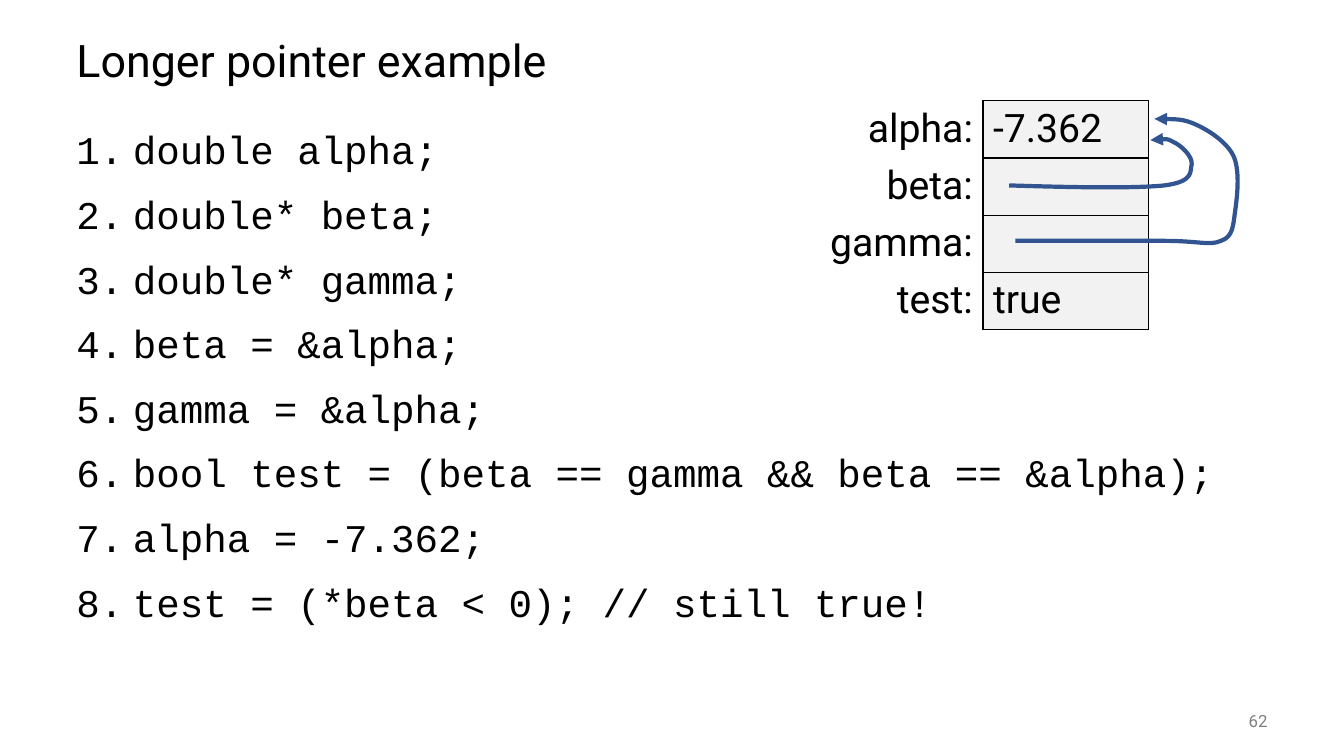
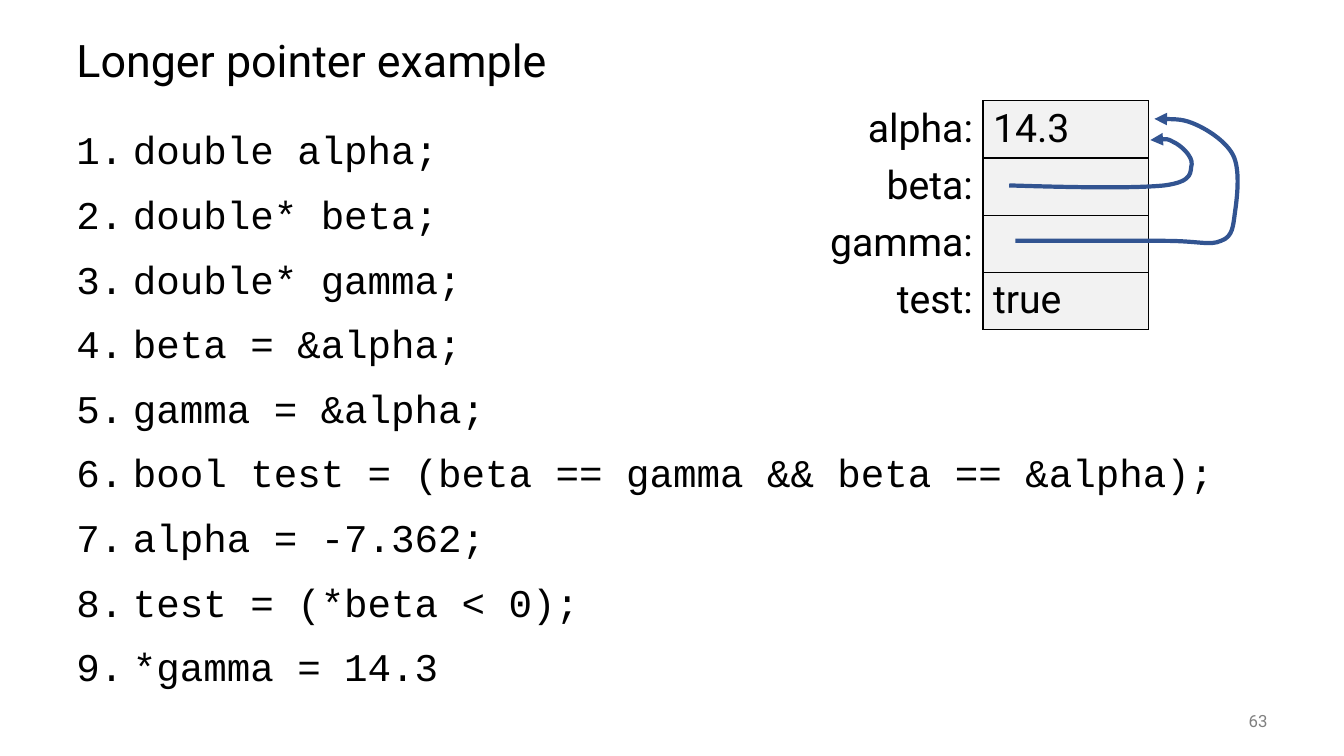
from dataclasses import dataclass

from lxml import etree
from pptx import Presentation
from pptx.dml.color import RGBColor
from pptx.enum.text import MSO_ANCHOR, PP_ALIGN
from pptx.oxml.ns import qn
from pptx.util import Pt

LEFT, RIGHT = PP_ALIGN.LEFT, PP_ALIGN.RIGHT
TOP, MIDDLE = MSO_ANCHOR.TOP, MSO_ANCHOR.MIDDLE
SCALE = 9144

CODE = [
    "double alpha;",
    "double* beta;",
    "double* gamma;",
    "beta = &alpha;",
    "gamma = &alpha;",
    "bool test = (beta == gamma && beta == &alpha);",
    "alpha = -7.362;",
]
PAGES = [
    (62, ["test = (*beta < 0); // still true!"], "-7.362"),
    (63, ["test = (*beta < 0);", "*gamma = 14.3"], "14.3"),
]
BETA = [
    (1001, 184), (1063, 186), (1125, 187), (1155, 184),
    (1185, 180), (1180, 170), (1182, 163),
    (1183, 155), (1171, 144), (1164, 141),
    (1157, 137), (1149, 138), (1141, 139),
]
GAMMA = [
    (1007, 239), (1056, 239), (1106, 239), (1155, 239),
    (1189, 239), (1200, 244), (1211, 239),
    (1223, 235), (1223, 224), (1225, 210),
    (1227, 196), (1230, 171), (1224, 156),
    (1218, 142), (1200, 130), (1187, 124),
    (1174, 118), (1160, 118), (1145, 118),
]


@dataclass(frozen=True)
class Theme:
    """Colours, fonts and type sizes."""
    ink: str = "000000"
    grey: str = "808080"
    cell: str = "F2F2F2"
    arrow: str = "325491"
    sans: str = "Roboto"
    mono: str = "Courier New"
    head: int = 32
    body: int = 28
    foot: int = 12


def px(num):
    """Turn px into EMU."""
    return num * SCALE


def put(item, vals):
    """Set each named value on an object."""
    for name, val in vals.items():
        setattr(item, name, val)


class Deck:
    """Style, presentation and current slide."""

    def __init__(self, theme):
        """Start an empty deck."""
        self.theme = theme
        self.prs = Presentation()
        put(self.prs, {"slide_width": px(1333), "slide_height": px(750)})

    def page(self):
        """Add a blank slide and make it current."""
        self.slide = self.prs.slides.add_slide(self.prs.slide_layouts[6])

    def label(self, para, text, size, font, ink):
        """Add one styled run to a paragraph."""
        run = para.add_run()
        put(run, {"text": text})
        put(run.font, {"size": Pt(size), "name": font})
        run.font.color.rgb = RGBColor.from_string(ink)

    def frame(self, box, anchor):
        """Add a text box and return its frame."""
        frame = self.slide.shapes.add_textbox(*map(px, box)).text_frame
        put(frame, {"word_wrap": True, "vertical_anchor": anchor})
        return frame

    def title(self, text):
        """Set the slide title."""
        para = self.frame((66, 25, 1200, 75), MIDDLE).paragraphs[0]
        put(para, {"line_spacing": 0.9})
        self.label(para, text, self.theme.head, self.theme.sans, self.theme.ink)

    def number(self, num):
        """Set the page number."""
        para = self.frame((1167, 695, 100, 40), MIDDLE).paragraphs[0]
        put(para, {"alignment": RIGHT})
        self.label(para, str(num), self.theme.foot, self.theme.sans, self.theme.grey)

    def code(self, lines):
        """Add numbered lines of code."""
        frame = self.frame((66, 125, 1200, 550), TOP)
        for at, line in enumerate(lines):
            para = frame.add_paragraph() if at else frame.paragraphs[0]
            props = para._p.get_or_add_pPr()
            for name, val in {"marL": px(56), "indent": px(-56)}.items():
                props.set(name, str(val))
            etree.SubElement(props, qn("a:buAutoNum"), type="arabicPeriod")
            put(para, {"line_spacing": 0.9, "space_before": Pt(15.9 if at else 0)})
            self.label(para, line, self.theme.body, self.theme.mono, self.theme.ink)

    def border(self, cell, sides):
        """Draw thin lines on the given sides of a cell."""
        props = cell._tc.get_or_add_tcPr()
        for side in sides:
            line = etree.SubElement(props, qn("a:ln" + side), w=str(Pt(1)))
            fill = etree.SubElement(line, qn("a:solidFill"))
            etree.SubElement(fill, qn("a:srgbClr"), val=self.theme.ink)

    def table(self, rows):
        """Draw labelled memory cells."""
        size = len(rows), 2
        box = 811, 100, 328, 56 * len(rows)
        grid = self.slide.shapes.add_table(*size, *map(px, box)).table
        put(grid, {"first_row": False, "horz_banding": False})
        for row, texts in enumerate(rows):
            for col, (text, side) in enumerate(zip(texts, (RIGHT, LEFT))):
                cell = grid.cell(row, col)
                self.border(cell, "LRTB" if col else "R")
                if col:
                    cell.fill.solid()
                    cell.fill.fore_color.rgb = RGBColor.from_string(self.theme.cell)
                else:
                    cell.fill.background()
                para = cell.text_frame.paragraphs[0]
                put(para, {"alignment": side})
                if text:
                    self.label(para, text, self.theme.body, self.theme.sans, self.theme.ink)

    def curve(self, points):
        """Draw a curved arrow: a start, then three points per Bézier piece."""
        form = self.slide.shapes.build_freeform(*points[0], scale=SCALE)
        form.add_line_segments(points[1:], close=False)
        shape = form.convert_to_shape()
        steps = list(shape.element.iter(qn("a:lnTo")))
        for at in range(0, len(steps), 3):
            piece = etree.Element(qn("a:cubicBezTo"))
            steps[at].addprevious(piece)
            for step in steps[at:at + 3]:
                piece.append(step[0])
                step.getparent().remove(step)
        put(shape.shadow, {"inherit": False})
        shape.fill.background()
        put(shape.line, {"width": Pt(3)})
        shape.line.color.rgb = RGBColor.from_string(self.theme.arrow)
        line = shape.element.spPr.find(qn("a:ln"))
        etree.SubElement(line, qn("a:tailEnd"), type="triangle")


def main():
    """Build and save the deck."""
    deck = Deck(Theme())
    for num, last, alpha in PAGES:
        deck.page()
        deck.title("Longer pointer example")
        deck.code(CODE + last)
        deck.number(num)
        deck.table([("alpha:", alpha), ("beta:", ""), ("gamma:", ""), ("test:", "true")])
        for points in (BETA, GAMMA):
            deck.curve(points)
    deck.prs.save("out.pptx")


if __name__ == "__main__":
    main()
